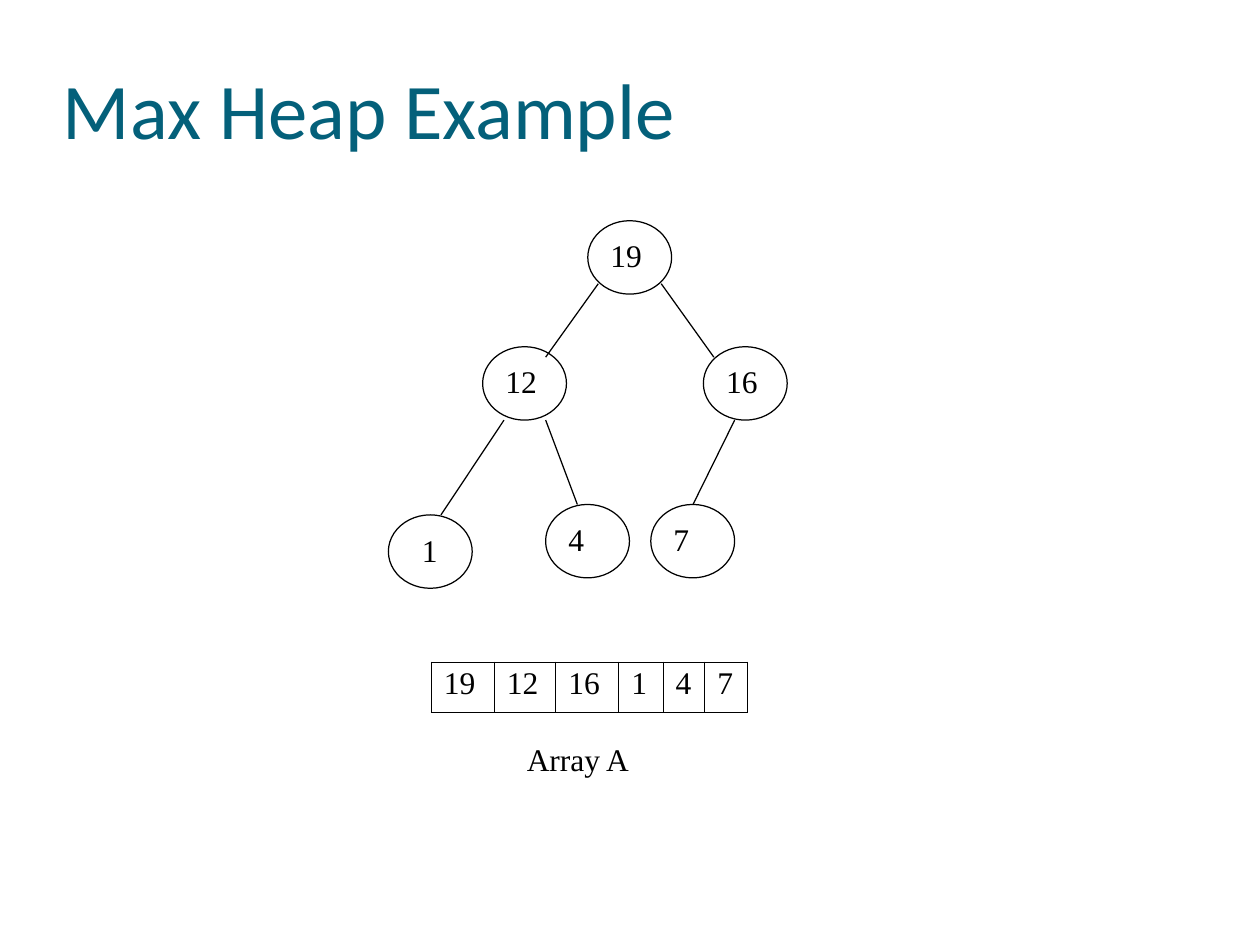
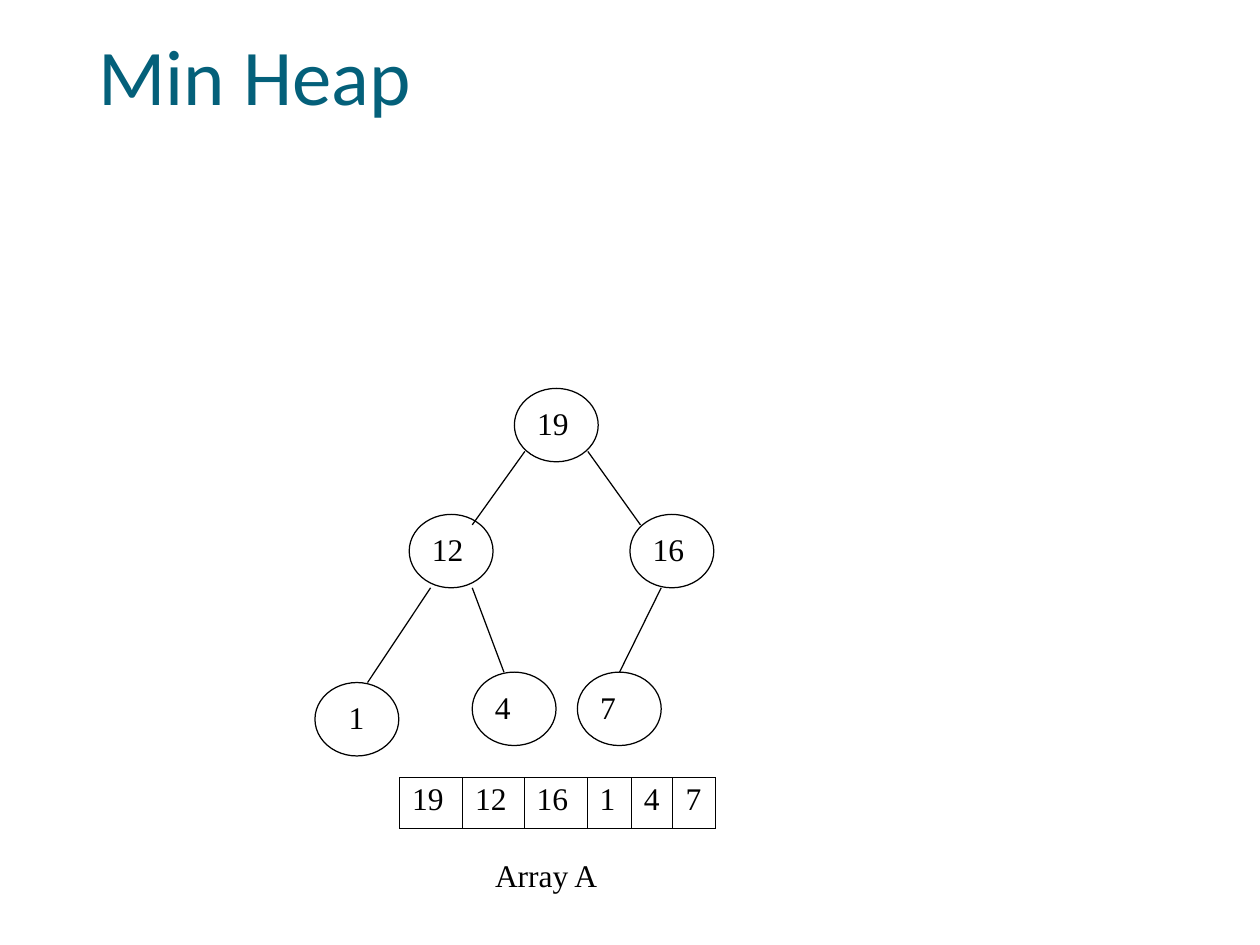
from dataclasses import dataclass

from lxml import etree
from pptx import Presentation
from pptx.dml.color import RGBColor
from pptx.enum.shapes import MSO_CONNECTOR, MSO_SHAPE
from pptx.enum.text import MSO_ANCHOR, PP_ALIGN
from pptx.oxml.ns import qn
from pptx.util import Cm, Pt

OVAL = MSO_SHAPE.OVAL
STRAIGHT = MSO_CONNECTOR.STRAIGHT
LEFT = PP_ALIGN.LEFT
TOP = MSO_ANCHOR.TOP


@dataclass(frozen=True)
class Theme:
    title: RGBColor = RGBColor(0x04, 0x60, 0x7A)
    ink: RGBColor = RGBColor(0, 0, 0)
    title_font: str = "Calibri"
    body_font: str = "Times New Roman"
    title_size: float = 45
    body_size: float = 18
    line_width: float = 0.72
    border_width: float = 0.25


HEAP_ARRAY = ["19", "12", "16", "1", "4", "7"]
COLUMN_WIDTHS = [1.27, 1.24, 1.27, 0.89, 0.84, 0.86]
ROW_HEIGHT = 1.02
NODE_SIZE = (1.69, 1.48)
NODE_OFFSETS = [(0, 0), (-2.12, 2.54), (2.33, 2.54),
                (-4.02, 5.93), (-0.85, 5.72), (1.27, 5.72)]
NODE_INDENTS = [0.21, 0.21, 0.21, 0.43, 0.21, 0.21]
BRANCHES = [
    (0.21, 1.27, -0.85, 2.75),
    (1.48, 1.27, 2.54, 2.75),
    (-1.69, 4.02, -2.96, 5.93),
    (-0.85, 4.02, -0.21, 5.72),
    (2.96, 4.02, 2.12, 5.72),
]
HEAPS = [
    {"title": "Max Heap Example", "title_at": (1.24, 1.19),
     "root": (11.85, 4.45), "array": (8.69, 13.34)},
    {"title": "Min Heap", "title_at": (1.96, 0.51),
     "root": (10.37, 7.83), "array": (8.05, 15.67)},
]


class HeapDeck:
    """Draws heap slides in one shared style."""

    def __init__(self, theme):
        self.theme = theme
        self.deck = Presentation()
        self.deck.slide_width, self.deck.slide_height = Cm(25.4), Cm(19.05)
        self.page = None

    def add_page(self):
        self.page = self.deck.slides.add_slide(self.deck.slide_layouts[6])

    def fill_text(self, frame, text, space=1, color=None, **font_format):
        values = {"name": self.theme.body_font, "size": Pt(self.theme.body_size)}
        para = frame.paragraphs[0]
        para.alignment, para.space_before = LEFT, Pt(space)
        span = para.add_run()
        span.text = text
        for name, value in {**values, **font_format}.items():
            setattr(span.font, name, value)
        span.font.color.rgb = color or self.theme.ink

    def set_frame(self, frame, left=0.03, top=0.03):
        values = {"word_wrap": True, "vertical_anchor": TOP,
                  "margin_left": Cm(left), "margin_top": Cm(top),
                  "margin_right": 0, "margin_bottom": 0}
        for name, value in values.items():
            setattr(frame, name, value)

    def add_text(self, text, left, top, width, height, **font_format):
        box = self.page.shapes.add_textbox(Cm(left), Cm(top), Cm(width), Cm(height))
        self.set_frame(box.text_frame)
        self.fill_text(box.text_frame, text, **font_format)

    def add_title(self, text, left, top):
        self.add_text(text, left, top, 12.6, 1.98, name=self.theme.title_font,
                      size=Pt(self.theme.title_size), color=self.theme.title)

    def set_line(self, line):
        line.color.rgb = self.theme.ink
        line.width = Pt(self.theme.line_width)

    def add_node(self, text, left, top, indent):
        node = self.page.shapes.add_shape(OVAL, Cm(left), Cm(top), *map(Cm, NODE_SIZE))
        node.shadow.inherit = False
        node.fill.background()
        self.set_line(node.line)
        self.set_frame(node.text_frame, indent, 0.1)
        self.fill_text(node.text_frame, text)

    def add_branch(self, *ends):
        branch = self.page.shapes.add_connector(STRAIGHT, *map(Cm, ends))
        self.set_line(branch.line)
        etree.SubElement(branch._element.spPr, qn("a:effectLst"))

    def add_tree(self, left, top):
        for value, (right, down), indent in zip(HEAP_ARRAY, NODE_OFFSETS, NODE_INDENTS):
            self.add_node(value, left + right, top + down, indent)
        for x1, y1, x2, y2 in BRANCHES:
            self.add_branch(left + x1, top + y1, left + x2, top + y2)

    def add_borders(self, cell):
        properties = cell._tc.get_or_add_tcPr()
        for position, side in enumerate(("a:lnL", "a:lnR", "a:lnT", "a:lnB")):
            border = etree.Element(qn(side), w=str(Pt(self.theme.border_width)))
            fill = etree.SubElement(border, qn("a:solidFill"))
            etree.SubElement(fill, qn("a:srgbClr"), val=str(self.theme.ink))
            properties.insert(position, border)

    def add_array(self, left, top):
        frame = self.page.shapes.add_table(1, len(HEAP_ARRAY), Cm(left), Cm(top),
                                           Cm(sum(COLUMN_WIDTHS)), Cm(ROW_HEIGHT))
        table = frame.table
        table.first_row = table.horz_banding = False
        for index, (value, width) in enumerate(zip(HEAP_ARRAY, COLUMN_WIDTHS)):
            table.columns[index].width = Cm(width)
            cell = table.cell(0, index)
            cell.fill.background()
            cell.margin_left, cell.margin_top = Cm(0.26), Cm(0.1)
            cell.margin_right = cell.margin_bottom = 0
            self.fill_text(cell.text_frame, value, space=3)
            self.add_borders(cell)
        self.add_text("Array A", left + 1.9, top + 1.55, 2.4, 0.84)


def main():
    heaps = HeapDeck(Theme())
    for heap in HEAPS:
        heaps.add_page()
        heaps.add_title(heap["title"], *heap["title_at"])
        heaps.add_tree(*heap["root"])
        heaps.add_array(*heap["array"])
    heaps.deck.save("out.pptx")


if __name__ == "__main__":
    main()
